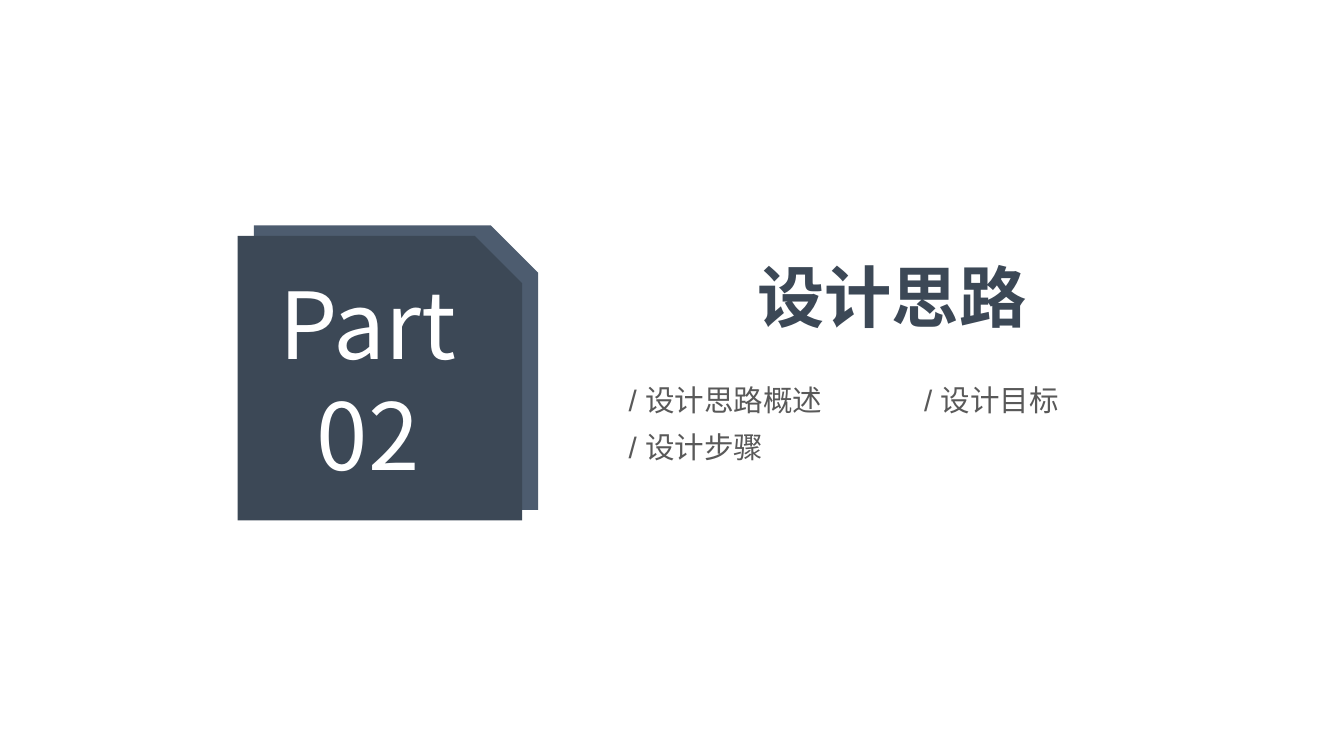
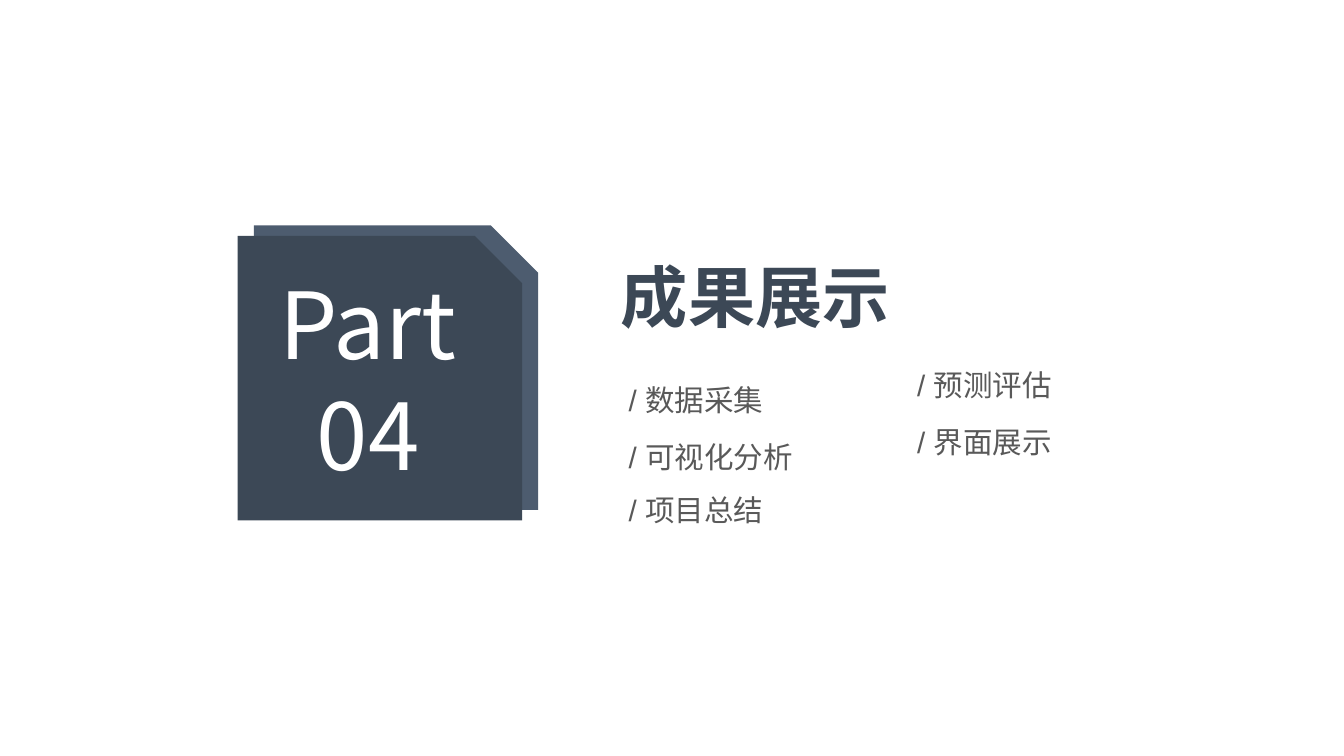
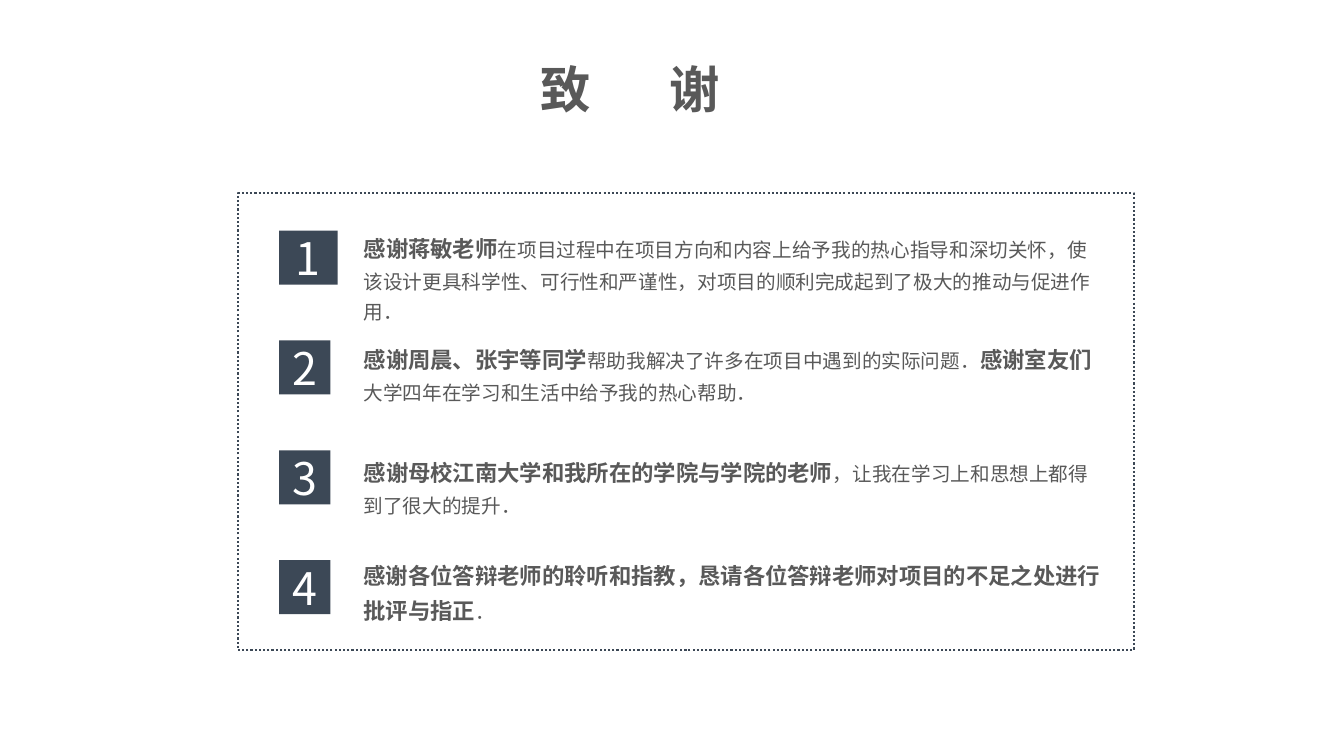
from pptx import Presentation
from pptx import util as u
from pptx.dml.color import RGBColor
from pptx.enum import dml, shapes, text
from pptx.oxml.ns import qn

Pt = u.Pt
COLORS = {"navy": "3C4856", "slate": "4D5C6F", "gray": "595959", "white": "FFFFFF"}
CJK = "Noto Sans CJK SC"
LATIN = "Arial"
TITLE_ONLY = 5


def rgb(name):
    return RGBColor.from_string(COLORS[name])


def add_run(p, content, size, color, bold=False, font=CJK):
    r = p.add_run()
    r.text = content
    r.font.size = Pt(size)
    r.font.bold = bold
    r.font.name = font
    r.font.color.rgb = rgb(color)
    ea = r.font._element.makeelement(qn("a:ea"), {"typeface": CJK})
    r.font._element.find(qn("a:latin")).addnext(ea)
    return r


def add_title(s, box, align, anchor):
    """Place the title placeholder and return its empty paragraph."""
    sp = s.shapes.title
    sp.left, sp.top, sp.width, sp.height = (Pt(v) for v in box)
    tf = sp.text_frame
    tf.word_wrap = True
    tf.auto_size = text.MSO_AUTO_SIZE.NONE
    tf.vertical_anchor = anchor
    p = tf.paragraphs[0]
    p.alignment = align
    p.line_spacing = 1.0
    return p


def add_text(s, left, top, width, height):
    """Add a wrapping text box and return its empty paragraph."""
    tf = s.shapes.add_textbox(Pt(left), Pt(top), Pt(width), Pt(height)).text_frame
    tf.word_wrap = True
    p = tf.paragraphs[0]
    p.line_spacing = 1.3
    return p


def add_block(s, kind, box, fill=None):
    sp = s.shapes.add_shape(kind, *(Pt(v) for v in box))
    sp.shadow.inherit = False
    if fill:
        sp.fill.solid()
        sp.fill.fore_color.rgb = rgb(fill)
        sp.line.fill.background()
    else:
        sp.fill.background()
    return sp


def write_lines(sp, lines, size):
    """Write centred white lines in a block."""
    tf = sp.text_frame
    tf.word_wrap = True
    tf.vertical_anchor = text.MSO_ANCHOR.MIDDLE
    for i, line in enumerate(lines):
        p = tf.add_paragraph() if i else tf.paragraphs[0]
        p.alignment = text.PP_ALIGN.CENTER
        add_run(p, line, size, "white")


def add_section(prs, number, title, align, topics):
    """Add a section slide; topics are (left, top, wording)."""
    s = prs.slides.add_slide(prs.slide_layouts[TITLE_ONLY])
    snip = shapes.MSO_SHAPE.SNIP_1_RECTANGLE
    side = 203.2
    add_block(s, snip, (181.3, 161, side, side), "slate")
    badge = add_block(s, snip, (169.8, 168.5, side, side), "navy")
    badge.text_frame.margin_top = 0
    badge.text_frame.margin_bottom = Pt(17)
    write_lines(badge, ["Part", number], 66)

    p = add_title(s, (425.5, 178.5, 412.5, 65.5), align, text.MSO_ANCHOR.TOP)
    s.shapes.title.text_frame.margin_left = Pt(18)
    add_run(p, title, 48, "navy", bold=True)
    for left, top, topic in topics:
        p = add_text(s, left, top, 189.4, 37.4)
        add_run(p, "/ " + topic, 21.1, "gray", font=LATIN)


def add_thanks(prs, thanks):
    """Add the closing slide; thanks are (top, width, height, wordings), bold and plain by turns."""
    s = prs.slides.add_slide(prs.slide_layouts[TITLE_ONLY])
    p = add_title(s, (252.7, 37.4, 394.6, 51.8), text.PP_ALIGN.CENTER, text.MSO_ANCHOR.MIDDLE)
    for part in "致 谢":
        r = add_run(p, part, 36, "gray", bold=True)
        if part == " ":
            r.font._element.set("spc", "4840")

    rect = shapes.MSO_SHAPE.RECTANGLE
    frame = add_block(s, rect, (169.9, 138.2, 640, 326.2))
    frame.line.color.rgb = rgb("navy")
    frame.line.width = Pt(1.5)
    frame.line.dash_style = dml.MSO_LINE.ROUND_DOT

    for i, (top, width, height, wordings) in enumerate(thanks):
        box = (199.4, 164.7 + 78.5 * i, 36.7 if i else 41.8, 38.6)
        write_lines(add_block(s, rect, box, "navy"), [str(i + 1)], 32)
        p = add_text(s, 252.7, top, width, height)
        for j, wording in enumerate(wordings):
            bold = j % 2 == 0
            add_run(p, wording, 16 if bold else 14, "gray", bold)


def main():
    prs = Presentation()
    prs.slide_width, prs.slide_height = Pt(960), Pt(540)
    add_section(prs, "02", "设计思路", text.PP_ALIGN.CENTER, [
        (442, 261.4, "设计思路概述"),
        (653, 261.4, "设计目标"),
        (442, 295.4, "设计步骤"),
    ])
    add_section(prs, "04", "成果展示", text.PP_ALIGN.LEFT, [
        (442, 261.4, "数据采集"),
        (442, 302.6, "可视化分析"),
        (648, 291.4, "界面展示"),
        (442, 340, "项目总结"),
        (648, 251.3, "预测评估"),
    ])
    add_thanks(prs, [
        (159, 538.6, 74.2, [
            "感谢蒋敏老师",
            "在项目过程中在项目方向和内容上给予我的热心指导和深切关怀，"
            "使该设计更具科学性、可行性和严谨性，对项目的顺利完成起到了极大的推动与促进作用．"]),
        (238.3, 538.6, 54.7, [
            "感谢周晨、张宇等同学", "帮助我解决了许多在项目中遇到的实际问题．",
            "感谢室友们", "大学四年在学习和生活中给予我的热心帮助．"]),
        (319, 538.6, 52.6, [
            "感谢母校江南大学和我所在的学院与学院的老师",
            "，让我在学习上和思想上都得到了很大的提升．"]),
        (392.4, 548, 55.4, [
            "感谢各位答辩老师的聆听和指教，恳请各位答辩老师对项目的不足之处进行批评与指正", "．"]),
    ])
    prs.save("out.pptx")


if __name__ == "__main__":
    main()
